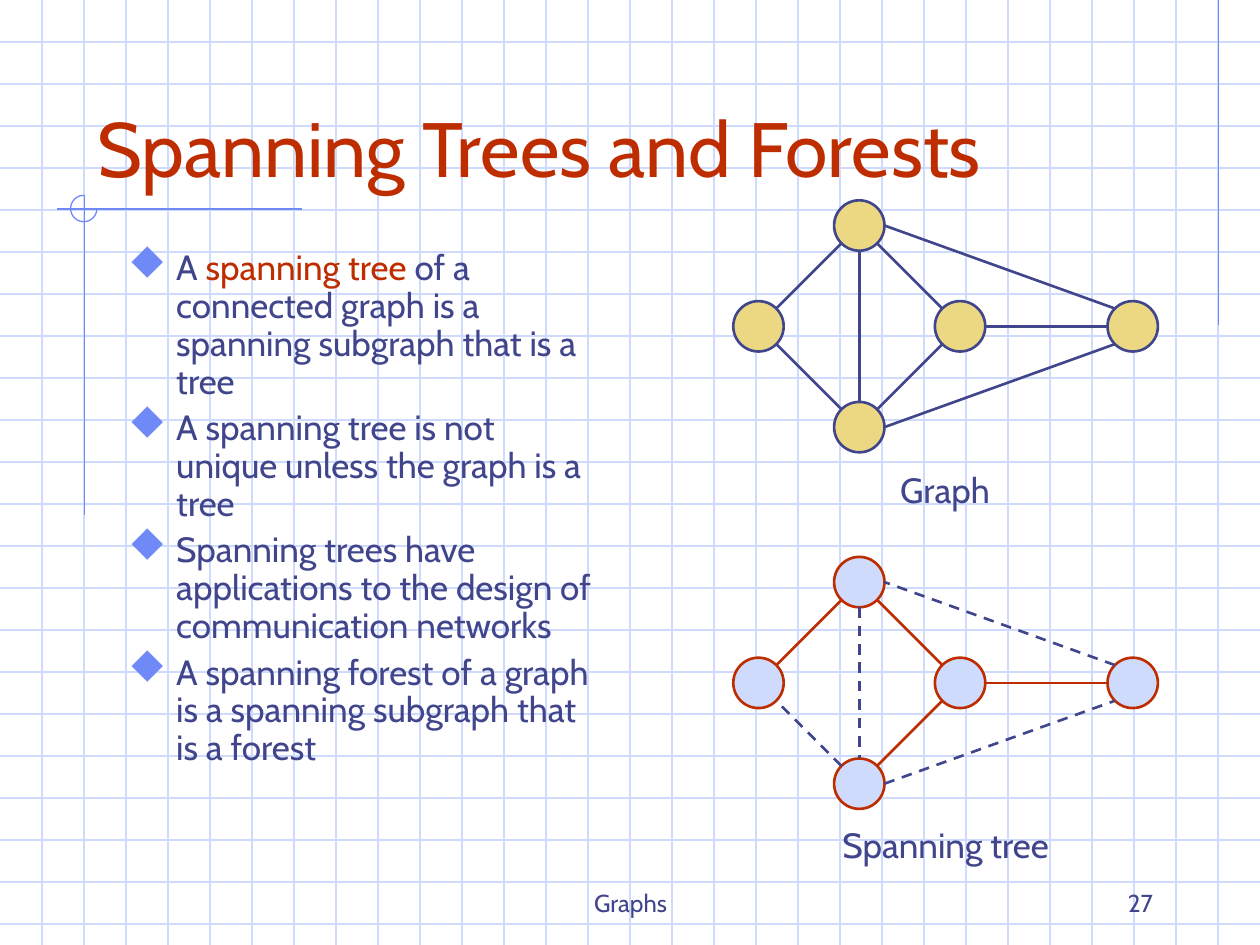
from math import cos, radians, sin

from lxml import etree
from pptx import Presentation
from pptx.dml.color import RGBColor
from pptx.enum.dml import MSO_LINE
from pptx.enum.shapes import MSO_CONNECTOR, MSO_SHAPE
from pptx.enum.text import MSO_ANCHOR, MSO_AUTO_SIZE, PP_ALIGN
from pptx.oxml.ns import qn
from pptx.util import Inches, Pt

STRAIGHT = MSO_CONNECTOR.STRAIGHT
ELLIPSE, ARC = MSO_SHAPE.OVAL, MSO_SHAPE.ARC
DASH = MSO_LINE.DASH
LEFT, CENTER, RIGHT = PP_ALIGN.LEFT, PP_ALIGN.CENTER, PP_ALIGN.RIGHT
TOP, BOTTOM = MSO_ANCHOR.TOP, MSO_ANCHOR.BOTTOM
NO_FIT = MSO_AUTO_SIZE.NONE

FONT, BULLET_FONT, BULLET_DIAMOND = "Cabin", "Wingdings", "u"
INK, RED, BLUE, PALE, GOLD = "40458C", "BE2D00", "6F89F7", "CFDBFD", "ECD882"
WIDTH, HEIGHT, GRID_STEP = 10, 7.5, 1 / 3
RADIUS = 0.2

NODES = {
    "top": (6.82, 0),
    "left": (6.02, 0.8),
    "center": (7.62, 0.8),
    "bottom": (6.82, 1.6),
    "right": (8.99, 0.8),
}
EDGES = [
    ("top", 225, "left", 45, True),
    ("bottom", 135, "left", 315, False),
    ("bottom", 45, "center", 225, True),
    ("top", 315, "center", 135, True),
    ("top", 270, "bottom", 90, False),
    ("center", 0, "right", 180, True),
    ("bottom", 0, "right", 225, False),
    ("right", 135, "top", 0, False),
]
BULLETS = [
    [("A ", INK), ("spanning tree", RED),
     (" of a connected graph is a spanning subgraph that is a tree", INK)],
    [("A spanning tree is not unique unless the graph is a tree", INK)],
    [("Spanning trees have applications to the design of communication networks", INK)],
    [("A spanning forest of a graph is a spanning subgraph that is a forest", INK)],
]


def color(value):
    """Return the colour for a hex string."""
    return RGBColor.from_string(value)


def add_line(slide, start, end, line_color, width=0.75, dash=None):
    """Draw a straight line without a shadow."""
    line = slide.shapes.add_connector(STRAIGHT, *map(Inches, (*start, *end)))
    line.line.color.rgb = color(line_color)
    line.line.width = Pt(width)
    if dash:
        line.line.dash_style = dash
    etree.SubElement(line._element.spPr, qn("a:effectLst"))


def add_run(paragraph, text, size, text_color):
    """Append one formatted run."""
    run = paragraph.add_run()
    run.text = text
    run.font.name = FONT
    run.font.size = Pt(size)
    run.font.color.rgb = color(text_color)


def format_frame(frame, anchor):
    """Set wrapping, anchor and fitting of a text frame."""
    frame.word_wrap = True
    frame.auto_size = NO_FIT
    frame.vertical_anchor = anchor


def add_text_box(slide, box, anchor=TOP):
    """Add an empty text box and return its frame."""
    frame = slide.shapes.add_textbox(*map(Inches, box)).text_frame
    format_frame(frame, anchor)
    return frame


def add_label(slide, text, box, size=20, align=CENTER, anchor=TOP):
    """Add a text box holding one line."""
    paragraph = add_text_box(slide, box, anchor).paragraphs[0]
    paragraph.alignment = align
    add_run(paragraph, text, size, INK)


def add_bullet(paragraph):
    """Give a paragraph a hanging diamond bullet from the symbol font."""
    properties = paragraph._p.get_or_add_pPr()
    properties.set("marL", str(Inches(0.38)))
    properties.set("indent", str(Inches(-0.38)))
    bullet_color = etree.SubElement(properties, qn("a:buClr"))
    etree.SubElement(bullet_color, qn("a:srgbClr"), val=BLUE)
    etree.SubElement(properties, qn("a:buSzPct"), val="110000")
    etree.SubElement(properties, qn("a:buFont"), typeface=BULLET_FONT,
                     pitchFamily="2", charset="2")
    etree.SubElement(properties, qn("a:buChar"), char=BULLET_DIAMOND)


def add_bullets(slide):
    """Write the bulleted statements."""
    frame = add_text_box(slide, (0.92, 1.94, 3.92, 4.64))
    for index, runs in enumerate(BULLETS):
        paragraph = frame.add_paragraph() if index else frame.paragraphs[0]
        add_bullet(paragraph)
        paragraph.line_spacing = 0.9
        paragraph.space_before = Pt(5 if index else 0)
        for text, text_color in runs:
            add_run(paragraph, text, 20, text_color)


def add_background(slide):
    """Draw the squared paper and the corner ornaments."""
    for row in range(1, 23):
        add_line(slide, (0, row * GRID_STEP), (WIDTH, row * GRID_STEP), PALE)
    for column in range(1, 30):
        add_line(slide, (column * GRID_STEP, 0), (column * GRID_STEP, HEIGHT), PALE)
    add_line(slide, (9.67, 0), (9.67, 2.58), BLUE)
    add_line(slide, (2.4, 1.66), (0.45, 1.66), BLUE)
    add_line(slide, (0.67, 1.55), (0.67, 4.09), BLUE)
    arc = slide.shapes.add_shape(ARC, *map(Inches, (0.56, 1.55, 0.21, 0.21)))
    arc.adjustments[0] = 0
    arc.adjustments[1] = 162
    arc.shadow.inherit = False
    arc.fill.background()
    arc.line.color.rgb = color(BLUE)
    arc.line.width = Pt(0.75)


def add_title(slide, text):
    """Place the title above the background."""
    title = slide.shapes.title
    slide.shapes._spTree.append(title._element)
    title.left, title.top, title.width, title.height = map(Inches, (0.67, 0.33, 8.5, 1.25))
    format_frame(title.text_frame, BOTTOM)
    paragraph = title.text_frame.paragraphs[0]
    paragraph.alignment = LEFT
    add_run(paragraph, text, 44, RED)


def rim_point(node, angle, top):
    """Return the point on a node's rim, counting degrees anticlockwise from the right."""
    x, y = NODES[node]
    return x + RADIUS * cos(radians(angle)), top + y - RADIUS * sin(radians(angle))


def add_graph(slide, top, fill, outline, tree_color, other_dash=None):
    """Draw the graph with its top node centred at the given height."""
    for x, y in NODES.values():
        box = (x - RADIUS, top + y - RADIUS, 2 * RADIUS, 2 * RADIUS)
        node = slide.shapes.add_shape(ELLIPSE, *map(Inches, box))
        node.shadow.inherit = False
        node.fill.solid()
        node.fill.fore_color.rgb = color(fill)
        node.line.color.rgb = color(outline)
        node.line.width = Pt(1.5)
    for start, start_angle, end, end_angle, in_tree in EDGES:
        add_line(slide, rim_point(start, start_angle, top), rim_point(end, end_angle, top),
                 tree_color if in_tree else INK, 1.5, None if in_tree else other_dash)


def main():
    """Build and save the slide."""
    presentation = Presentation()
    presentation.slide_width, presentation.slide_height = Inches(WIDTH), Inches(HEIGHT)
    slide = presentation.slides.add_slide(presentation.slide_layouts[5])
    add_background(slide)
    add_title(slide, "Spanning Trees and Forests")
    add_bullets(slide)
    add_label(slide, "Graph", (5.94, 3.67, 3.12, 0.44))
    add_label(slide, "Spanning tree", (5.51, 6.49, 3.99, 0.44))
    add_graph(slide, 1.79, GOLD, INK, INK)
    add_graph(slide, 4.62, PALE, RED, RED, DASH)
    add_label(slide, "Graphs", (3.42, 6.83, 3.17, 0.5), 14, CENTER, BOTTOM)
    add_label(slide, "27", (7.17, 6.83, 2.08, 0.5), 14, RIGHT, BOTTOM)
    presentation.save("out.pptx")


if __name__ == "__main__":
    main()
